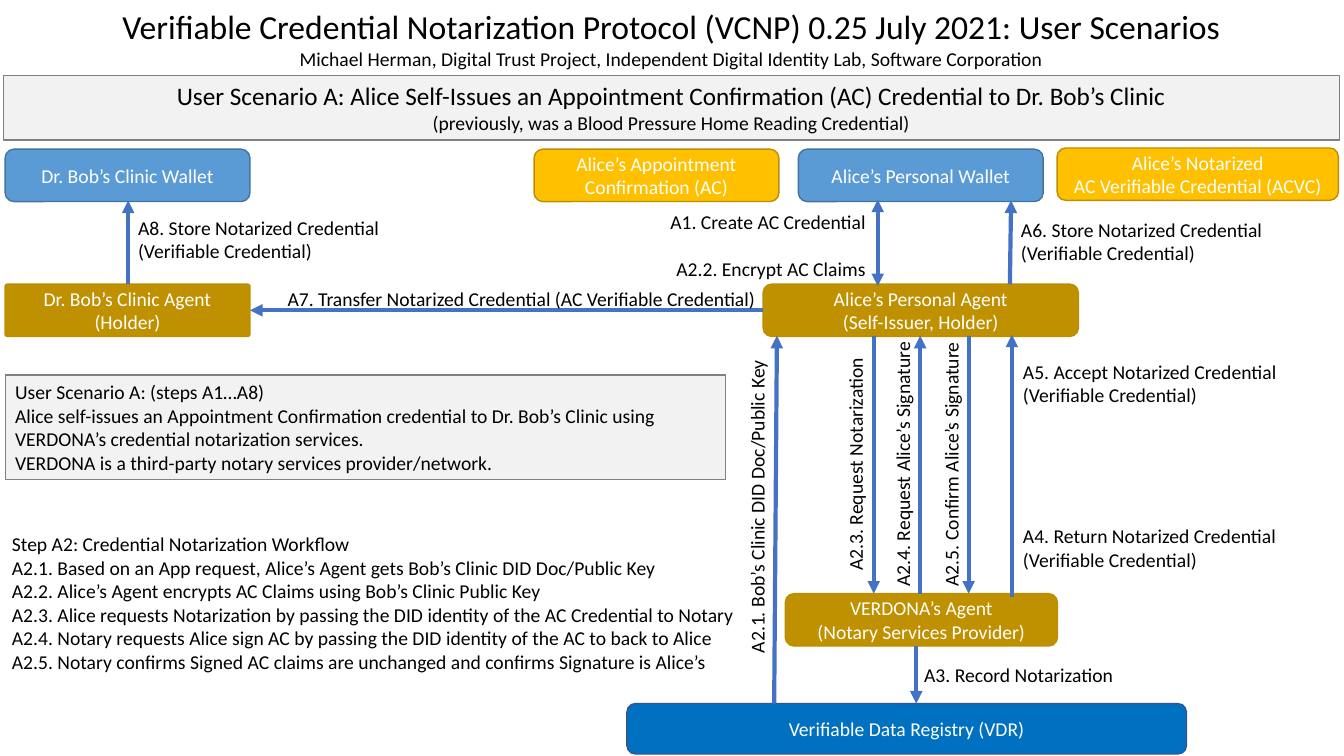
from dataclasses import dataclass

from lxml.etree import SubElement
from pptx import Presentation
from pptx.dml.color import RGBColor
from pptx.enum.shapes import MSO_CONNECTOR, MSO_SHAPE
from pptx.enum.text import MSO_ANCHOR, PP_ALIGN
from pptx.oxml.ns import qn
from pptx.shapes.autoshape import Shape
from pptx.slide import Slide
from pptx.util import Cm, Pt


@dataclass(frozen=True)
class Theme:
    font: str = "Calibri"
    body: int = 14
    heading: int = 18
    title: int = 24
    ink: str = "000000"
    paper: str = "FFFFFF"
    arrow: str = "4472C4"
    panel: tuple[str, str] = ("F2F2F2", "808080")
    wallet: tuple[str, str] = ("5B9BD5", "43739E")
    credential: tuple[str, str] = ("FFC000", "BD8E00")
    agent: tuple[str, str] = ("BF9000", "BD8E00")
    registry: tuple[str, str] = ("0070C0", "325491")


THEME = Theme()
LEFT, CENTER, RIGHT = PP_ALIGN.LEFT, PP_ALIGN.CENTER, PP_ALIGN.RIGHT
ROW = 1.32
LABEL_HEIGHT = 0.86
WALLET_TOP, AGENT_TOP, NOTARY_TOP, REGISTRY_TOP = 3.76, 7.16, 14.96, 17.73
WALLET_BOTTOM, AGENT_BOTTOM, NOTARY_BOTTOM = 5.05, 8.46, 16.28


@dataclass(frozen=True)
class Party:
    lines: tuple[str, ...]
    left: float
    top: float
    width: float
    colours: tuple[str, str]
    height: float = ROW
    corner: float = 0.1667


@dataclass(frozen=True)
class Flow:
    """An arrow that points at its end, or at both ends."""
    x1: float
    y1: float
    x2: float
    y2: float
    both: bool = False


@dataclass(frozen=True)
class Note:
    lines: tuple[str, ...]
    left: float
    top: float
    width: float
    height: float
    align: PP_ALIGN = LEFT
    first_size: int = THEME.body
    gap_before: tuple[int, int] = (0, 0)  # paragraph index, points
    panel: bool = False
    wrap: bool = True


@dataclass(frozen=True)
class UprightLabel:
    text: str
    centre_x: float
    centre_y: float
    length: float


VERIFIABLE = "(Verifiable Credential)"

PARTIES = (
    Party(("Alice’s Personal Wallet",), 20.12, WALLET_TOP, 6.17, THEME.wallet),
    Party(("Alice’s Appointment Confirmation (AC)",), 13.46, WALLET_TOP, 6.17, THEME.credential),
    Party(("Alice’s Notarized", "AC Verifiable Credential (ACVC)"), 26.64, 3.73, 7.09, THEME.credential),
    Party(("Dr. Bob’s Clinic Wallet",), 0.13, WALLET_TOP, 6.17, THEME.wallet),
    Party(("Dr. Bob’s Clinic Agent", "(Holder)"), 0.13, AGENT_TOP, 6.17, THEME.agent, corner=0.043),
    Party(("Alice’s Personal Agent", "(Self-Issuer, Holder)"), 19.23, AGENT_TOP, 7.95, THEME.agent),
    Party(("VERDONA’s Agent", "(Notary Services Provider)"), 19.79, NOTARY_TOP, 6.86, THEME.agent),
    Party(("Verifiable Data Registry (VDR)",), 15.8, REGISTRY_TOP, 14.1, THEME.registry, height=1.27),
)

FLOWS = (
    Flow(22.12, 7.21, 22.12, 5.03, both=True),
    Flow(19.51, REGISTRY_TOP, 19.58, AGENT_BOTTOM),
    Flow(22.02, AGENT_BOTTOM, 22.02, NOTARY_TOP),
    Flow(23.19, NOTARY_TOP, 23.19, AGENT_BOTTOM),
    Flow(24.41, AGENT_BOTTOM, 24.41, NOTARY_TOP),
    Flow(23.09, NOTARY_BOTTOM, 23.09, REGISTRY_TOP),
    Flow(25.5, 15.04, 25.5, 8.43),
    Flow(25.45, AGENT_TOP, 25.48, WALLET_BOTTOM),
    Flow(19.23, 7.82, 6.3, 7.82),
    Flow(3.23, AGENT_TOP, 3.23, WALLET_BOTTOM),
)

NOTES = (
    Note(("Verifiable Credential Notarization Protocol (VCNP) 0.25 July 2021: User Scenarios",
          "Michael Herman, Digital Trust Project, Independent Digital Identity Lab, Software Corporation"),
         0.08, 0.03, 33.68, 1.88, CENTER, THEME.title),
    Note(("User Scenario A: Alice Self-Issues an Appointment Confirmation (AC) Credential to Dr. Bob’s Clinic",
          "(previously, was a Blood Pressure Home Reading Credential)"),
         0.08, 1.9, 33.68, 1.63, CENTER, THEME.heading, panel=True),
    Note(("User Scenario A: (steps A1…A8)",
          "Alice self-issues an Appointment Confirmation credential to Dr. Bob’s Clinic using "
          "VERDONA’s credential notarization services.",
          "VERDONA is a third-party notary services provider/network."),
         0.13, 9.45, 18.16, 2.64, panel=True),
    Note(("Step A2: Credential Notarization Workflow",
          "A2.1. Based on an App request, Alice’s Agent gets Bob’s Clinic DID Doc/Public Key",
          "A2.2. Alice’s Agent encrypts AC Claims using Bob’s Clinic Public Key",
          "A2.3. Alice requests Notarization by passing the DID identity of the AC Credential to Notary",
          "A2.4. Notary requests Alice sign AC by passing the DID identity of the AC to back to Alice",
          "A2.5. Notary confirms Signed AC claims are unchanged and confirms Signature is Alice’s"),
         0.05, 13.28, 18.82, 3.84),
    Note(("A1. Create AC Credential", "A2.2. Encrypt AC Claims"),
         16.1, 5.16, 5.97, 2.06, RIGHT, gap_before=(1, 17)),
    Note(("A3. Record Notarization",), 23.04, 16.59, 5.89, LABEL_HEIGHT),
    Note(("A5. Accept Notarized Credential", VERIFIABLE, "A4. Return Notarized Credential", VERIFIABLE),
         25.53, 8.94, 7.39, 5.64, gap_before=(2, 84)),
    Note(("A6. Store Notarized Credential", VERIFIABLE), 25.48, 5.36, 7.52, 1.45),
    Note(("A7. Transfer Notarized Credential (AC Verifiable Credential)",),
         6.25, 7.11, 13.79, LABEL_HEIGHT, CENTER),
    Note(("A8. Store Notarized Credential", VERIFIABLE), 3.23, 5.31, 7.01, 1.45, wrap=False),
)

UPRIGHT_LABELS = (
    UprightLabel("A2.1. Bob’s Clinic DID Doc/Public Key", 19.08, 12.77, 8.03),
    UprightLabel("A2.3. Request Notarization", 21.56, 11.7, 6.5),
    UprightLabel("A2.4. Request Alice’s Signature", 22.75, 11.7, 6.78),
    UprightLabel("A2.5. Confirm Alice’s Signature", 23.97, 11.7, 6.78),
)


def write(shape: Shape, lines: tuple[str, ...], align: PP_ALIGN, colour: str,
          first_size: int = THEME.body, wrap: bool = True) -> None:
    frame = shape.text_frame
    frame.word_wrap = wrap
    frame.text = "\n".join(lines)
    for index, paragraph in enumerate(frame.paragraphs):
        paragraph.alignment = align
        font_format = {"name": THEME.font, "size": Pt(THEME.body if index else first_size)}
        for run in paragraph.runs:
            for attribute, value in font_format.items():
                setattr(run.font, attribute, value)
            run.font.color.rgb = RGBColor.from_string(colour)


def paint(shape: Shape, colours: tuple[str, str], line_width: float) -> None:
    fill, outline = colours
    shape.shadow.inherit = False
    shape.fill.solid()
    shape.fill.fore_color.rgb = RGBColor.from_string(fill)
    shape.line.color.rgb = RGBColor.from_string(outline)
    shape.line.width = Pt(line_width)


def draw_party(slide: Slide, party: Party) -> None:
    box = slide.shapes.add_shape(MSO_SHAPE.ROUNDED_RECTANGLE, Cm(party.left), Cm(party.top),
                                 Cm(party.width), Cm(party.height))
    box.adjustments[0] = party.corner
    paint(box, party.colours, 1)
    box.text_frame.vertical_anchor = MSO_ANCHOR.MIDDLE
    write(box, party.lines, CENTER, THEME.paper)


def draw_flow(slide: Slide, flow: Flow) -> None:
    arrow = slide.shapes.add_connector(MSO_CONNECTOR.STRAIGHT, Cm(flow.x1), Cm(flow.y1),
                                       Cm(flow.x2), Cm(flow.y2))
    arrow.line.color.rgb = RGBColor.from_string(THEME.arrow)
    arrow.line.width = Pt(3)
    outline = arrow.line._get_or_add_ln()
    for end in ("a:headEnd", "a:tailEnd") if flow.both else ("a:tailEnd",):
        SubElement(outline, qn(end), type="triangle")
    SubElement(arrow._element.spPr, qn("a:effectLst"))


def draw_note(slide: Slide, note: Note) -> None:
    place = Cm(note.left), Cm(note.top), Cm(note.width), Cm(note.height)
    if note.panel:
        box = slide.shapes.add_shape(MSO_SHAPE.RECTANGLE, *place)
        paint(box, THEME.panel, 0.75)
    else:
        box = slide.shapes.add_textbox(*place)
    box.text_frame.vertical_anchor = MSO_ANCHOR.TOP
    write(box, note.lines, note.align, THEME.ink, note.first_size, note.wrap)
    index, points = note.gap_before
    if points:
        box.text_frame.paragraphs[index].space_before = Pt(points)


def draw_upright_label(slide: Slide, label: UprightLabel) -> None:
    box = slide.shapes.add_textbox(Cm(label.centre_x - label.length / 2),
                                   Cm(label.centre_y - LABEL_HEIGHT / 2),
                                   Cm(label.length), Cm(LABEL_HEIGHT))
    box.rotation = 270
    write(box, (label.text,), CENTER, THEME.ink)


def main() -> None:
    deck = Presentation()
    deck.slide_width, deck.slide_height = Cm(33.87), Cm(19.05)
    slide = deck.slides.add_slide(deck.slide_layouts[6])
    for items, draw in ((PARTIES, draw_party), (FLOWS, draw_flow), (NOTES, draw_note),
                        (UPRIGHT_LABELS, draw_upright_label)):
        for item in items:
            draw(slide, item)
    deck.save("out.pptx")


if __name__ == "__main__":
    main()
